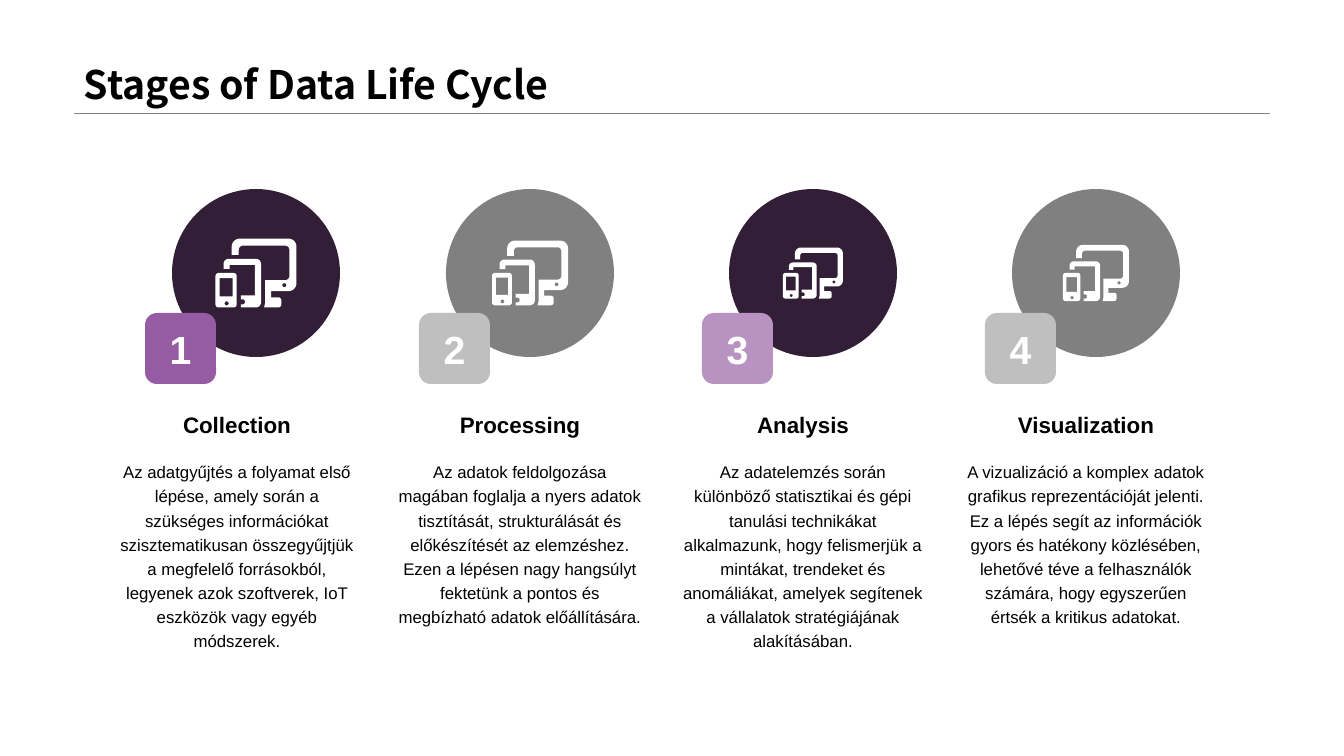
from math import cos, hypot, pi, sin

from pptx import Presentation
from pptx.dml.color import RGBColor
from pptx.enum.shapes import MSO_CONNECTOR as Connector, MSO_SHAPE as Shape
from pptx.enum.text import MSO_ANCHOR as Anchor, MSO_AUTO_SIZE as AutoSize, PP_ALIGN as Align
from pptx.oxml.ns import qn
from pptx.util import Emu, Pt

PX = 914400 / 100.8
COLORS = {
    "ink": "000000", "white": "FFFFFF", "rule": "808080",
    "plum": "321F37", "violet": "955CA3", "lilac": "B893C2",
    "gray": "808080", "silver": "BFBFBF",
}
FORMATS = {
    "title": dict(name="Noto Sans CJK SC", size=Pt(28), bold=True),
    "number": dict(name="Arial", size=Pt(28), bold=True),
    "heading": dict(name="Arial", size=Pt(16), bold=True),
    "body": dict(name="Arial", size=Pt(12), bold=False),
}

COLUMN_LEFT, COLUMN_PITCH, COLUMN_WIDTH = 104, 283, 266
CIRCLE_SIZE, TILE_SIZE = 168, 71

# heading, circle colour, tile colour, circle offset, icon width, body height, body
STAGES = [
    ("Collection", "plum", "violet", 68, 81, 204,
     "Az adatgyűjtés a folyamat első lépése, amely során a szükséges információkat "
     "szisztematikusan összegyűjtjük a megfelelő forrásokból, legyenek azok szoftverek, "
     "IoT eszközök vagy egyéb módszerek."),
    ("Processing", "gray", "silver", 59, 76, 179,
     "Az adatok feldolgozása magában foglalja a nyers adatok tisztítását, strukturálását "
     "és előkészítését az elemzéshez. Ezen a lépésen nagy hangsúlyt fektetünk a pontos és "
     "megbízható adatok előállítására."),
    ("Analysis", "plum", "lilac", 59, 60, 204,
     "Az adatelemzés során különböző statisztikai és gépi tanulási technikákat "
     "alkalmazunk, hogy felismerjük a mintákat, trendeket és anomáliákat, amelyek "
     "segítenek a vállalatok stratégiájának alakításában."),
    ("Visualization", "gray", "silver", 59, 66, 179,
     "A vizualizáció a komplex adatok grafikus reprezentációját jelenti. Ez a lépés segít "
     "az információk gyors és hatékony közlésében, lehetővé téve a felhasználók számára, "
     "hogy egyszerűen értsék a kritikus adatokat."),
]


def rectangle(left, top, right, bottom, radius=0):
    return [(left, top, radius), (right, top, radius),
            (right, bottom, radius), (left, bottom, radius)]


# Corners as x, y, radius on an 80 by 68 grid; holes run the other way round.
ICON_WIDTH, ICON_HEIGHT = 80, 68
PHONE = rectangle(0, 34, 21, 68, 3)
PHONE_SCREEN = rectangle(4, 39, 17, 57)[::-1]
PHONE_BUTTON = rectangle(9, 62, 13, 66, 2)[::-1]
TABLET = [
    (8, 20, 5), (45, 20, 5), (45, 68, 5), (25, 68, 0), (25, 65, 0), (29, 65, 2),
    (29, 60, 2), (25, 60, 0), (25, 56, 0), (39, 56, 0), (39, 26, 0), (14, 26, 0),
    (14, 30, 0), (8, 30, 0),
]
MONITOR = [
    (16, 0, 8), (80, 0, 8), (80, 52, 8), (55, 52, 0), (55, 58, 0), (65, 58, 3),
    (65, 68, 3), (48, 68, 0), (49, 64, 0), (49, 41, 0), (73, 41, 4), (73, 7, 4),
    (23, 7, 4), (23, 16, 0), (16, 16, 0),
]
MONITOR_BUTTON = rectangle(66, 44, 70, 48, 2)[::-1]
DEVICES = [PHONE, PHONE_SCREEN, PHONE_BUTTON, TABLET, MONITOR, MONITOR_BUTTON]


def px(*lengths):
    return [Emu(round(length * PX)) for length in lengths]


def color(name):
    return RGBColor.from_string(COLORS[name])


def write(frame, text, style, ink="ink", align=Align.CENTER, spacing=None):
    frame.word_wrap = True
    paragraph = frame.paragraphs[0]
    paragraph.alignment = align
    paragraph.line_spacing = spacing
    run = paragraph.add_run()
    run.text = text
    for attribute, value in FORMATS[style].items():
        setattr(run.font, attribute, value)
    run.font.color.rgb = color(ink)


def paint(shape, fill):
    shape.shadow.inherit = False
    shape.fill.solid()
    shape.fill.fore_color.rgb = color(fill)
    shape.line.fill.background()


def rounded(corners, steps=6):
    """Turn corners with radii into the points of a closed outline."""
    points = []
    for i, (x, y, radius) in enumerate(corners):
        if not radius:
            points.append((x, y))
            continue
        before, after = corners[i - 1], corners[(i + 1) % len(corners)]
        (ax, ay), (bx, by) = [
            ((nx - x) / hypot(nx - x, ny - y), (ny - y) / hypot(nx - x, ny - y))
            for nx, ny, _ in (before, after)]
        for step in range(steps + 1):
            angle = step / steps * pi / 2
            a, b = radius * (1 - sin(angle)), radius * (1 - cos(angle))
            points.append((x + a * ax + b * bx, y + a * ay + b * by))
    return points


def add_devices_icon(slide, center_x, center_y, width):
    unit = width / ICON_WIDTH
    left, top = center_x - width / 2, center_y - ICON_HEIGHT * unit / 2
    outlines = [[px(left + x * unit, top + y * unit) for x, y in rounded(device)]
                for device in DEVICES]
    builder = slide.shapes.build_freeform(*outlines[0][0])
    for outline in outlines:
        if outline is not outlines[0]:
            builder.move_to(*outline[0])
        builder.add_line_segments(outline[1:], close=True)
    paint(builder.convert_to_shape(), "white")


def add_title(slide, left, top, width, height):
    title = slide.shapes.add_textbox(*px(left, top, width, height)).text_frame
    title.vertical_anchor = Anchor.BOTTOM
    write(title, "Stages of Data Life Cycle", "title", align=Align.LEFT, spacing=0.9)
    bottom = top + height
    rule = slide.shapes.add_connector(
        Connector.STRAIGHT, *px(left, bottom, left + width, bottom))
    rule.line.color.rgb = color("rule")
    rule.line.width = Pt(0.25)
    properties = rule._element.spPr
    properties.append(properties.makeelement(qn("a:effectLst"), {}))


def add_stage(slide, left, top, width, number, stage):
    heading, circle_fill, tile_fill, circle_offset, icon_width, body_height, body = stage
    circle_left = left + circle_offset
    circle = slide.shapes.add_shape(
        Shape.OVAL, *px(circle_left, top, CIRCLE_SIZE, CIRCLE_SIZE))
    paint(circle, circle_fill)
    add_devices_icon(slide, circle_left + CIRCLE_SIZE / 2, top + CIRCLE_SIZE / 2, icon_width)

    tile = slide.shapes.add_shape(
        Shape.ROUNDED_RECTANGLE, *px(circle_left - 27, top + 124, TILE_SIZE, TILE_SIZE))
    paint(tile, tile_fill)
    tile.text_frame.vertical_anchor = Anchor.MIDDLE
    write(tile.text_frame, str(number), "number", ink="white")

    heading_box = slide.shapes.add_textbox(*px(left, top + 217, width, 46))
    write(heading_box.text_frame, heading, "heading")
    body_box = slide.shapes.add_textbox(*px(left, top + 264, width, body_height))
    write(body_box.text_frame, body, "body", spacing=1.2)
    body_box.text_frame.auto_size = AutoSize.SHAPE_TO_FIT_TEXT


def main():
    deck = Presentation()
    deck.slide_width, deck.slide_height = px(1344, 756)
    slide = deck.slides.add_slide(deck.slide_layouts[6])
    add_title(slide, 74, 0, 1196, 113)
    for i, stage in enumerate(STAGES):
        add_stage(slide, COLUMN_LEFT + i * COLUMN_PITCH, 189, COLUMN_WIDTH, i + 1, stage)
    deck.save("out.pptx")


if __name__ == "__main__":
    main()
